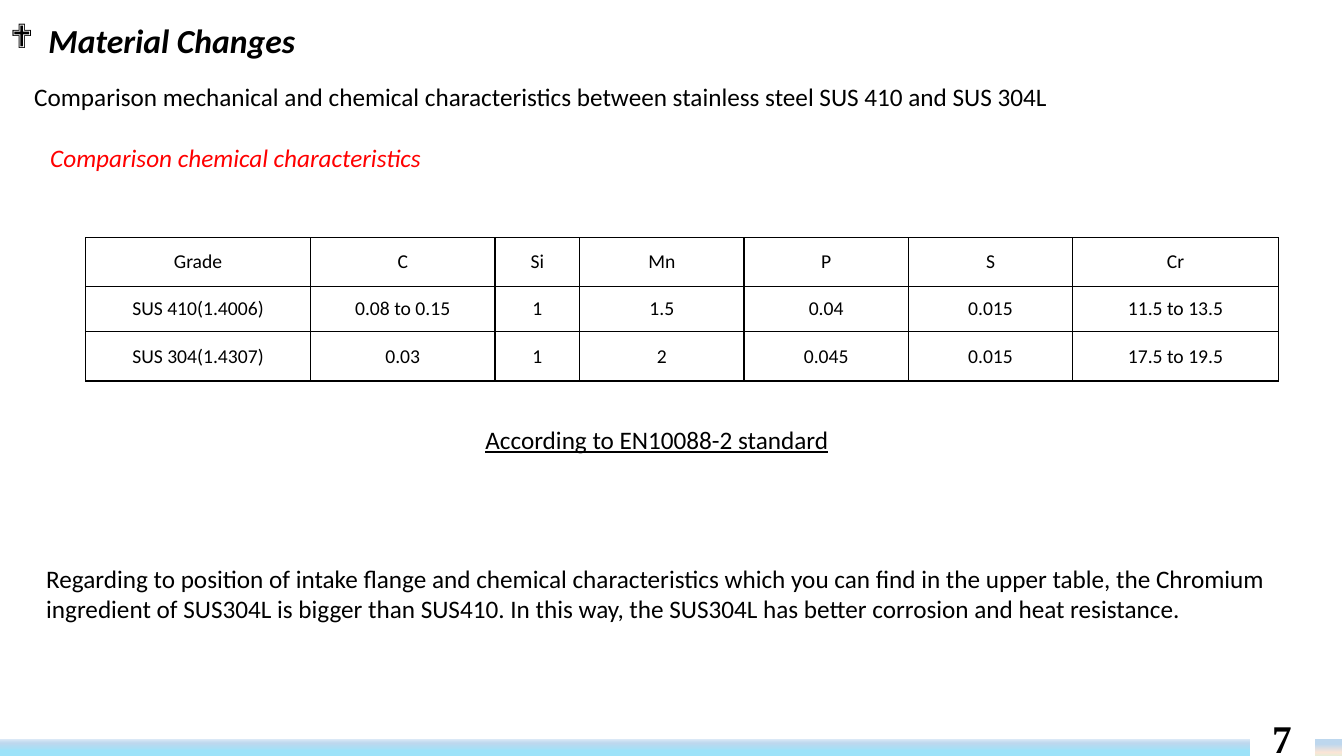
from dataclasses import dataclass

from lxml import etree
from pptx import Presentation
from pptx import util as u
from pptx.dml.color import RGBColor
from pptx.enum import shapes, text
from pptx.oxml import ns

PX = 9144  # 100 px to the inch


@dataclass(frozen=True)
class Theme:
    body_font: str = "Calibri"
    number_font: str = "Times New Roman"
    ink: str = "000000"
    accent: str = "FF0000"
    title_size: int = 24
    body_size: int = 18
    table_size: int = 14
    number_size: int = 28
    left_bar: tuple = ((0, "DEEBF7"), (25, "BDD7EE"), (71, "9DE3F9"))
    right_bar: tuple = ((29, "BDD7EE"), (75, "FBE5D6"), (100, "E2F0D9"))


THEME = Theme()
COLUMNS = (223, 183, 84, 163, 163, 163, 204)
ROWS = (48, 45, 49)
GRADES = (
    ("Grade", "C", "Si", "Mn", "P", "S", "Cr"),
    ("SUS 410(1.4006)", "0.08 to 0.15", "1", "1.5", "0.04", "0.015", "11.5 to 13.5"),
    ("SUS 304(1.4307)", "0.03", "1", "2", "0.045", "0.015", "17.5 to 19.5"),
)


def emu(box):
    return [length * PX for length in box]


def add_child(parent, tag, **attributes):
    child = etree.SubElement(parent, ns.qn(tag))
    for name, value in attributes.items():
        child.set(name, str(value))
    return child


def write(paragraph, words, size, color=THEME.ink, font=THEME.body_font,
          align=text.PP_ALIGN.LEFT, bold=False, italic=False, underline=False):
    paragraph.alignment = align
    run = paragraph.add_run()
    run.text = words
    run.font.size = u.Pt(size)
    run.font.name = font
    run.font.color.rgb = RGBColor.from_string(color)
    run.font.bold, run.font.italic, run.font.underline = bold, italic, underline


def add_text(slide, box, words, size=THEME.body_size, wrap=True, **style):
    frame = slide.shapes.add_textbox(*emu(box)).text_frame
    frame.word_wrap = wrap
    write(frame.paragraphs[0], words, size, **style)


def add_title(slide, box, words):
    title = slide.shapes.title
    title.left, title.top, title.width, title.height = emu(box)
    frame = title.text_frame
    frame.auto_size = text.MSO_AUTO_SIZE.NONE
    frame.vertical_anchor = text.MSO_ANCHOR.TOP
    paragraph = frame.paragraphs[0]
    write(paragraph, words, THEME.title_size, bold=True, italic=True)
    properties = paragraph._p.get_or_add_pPr()
    properties.set("marL", str(38 * PX))
    properties.set("indent", str(-38 * PX))
    add_child(properties, "a:buFont", typeface="Wingdings")
    add_child(properties, "a:buChar", char="❖")


def add_borders(cell):
    properties = cell._tc.get_or_add_tcPr()
    for position, side in enumerate(("a:lnL", "a:lnR", "a:lnT", "a:lnB")):
        line = add_child(properties, side, w=u.Pt(1))
        add_child(add_child(line, "a:solidFill"), "a:srgbClr", val=THEME.ink)
        properties.insert(position, line)


def add_grade_table(slide, left, top):
    box = (left, top, sum(COLUMNS), sum(ROWS))
    table = slide.shapes.add_table(len(ROWS), len(COLUMNS), *emu(box)).table
    table.first_row = table.horz_banding = False
    for column, width in zip(table.columns, COLUMNS):
        column.width = width * PX
    for row, height, values in zip(table.rows, ROWS, GRADES):
        row.height = height * PX
        for cell, value in zip(row.cells, values):
            cell.fill.background()
            cell.vertical_anchor = text.MSO_ANCHOR.MIDDLE
            write(cell.text_frame.paragraphs[0], value, THEME.table_size,
                  align=text.PP_ALIGN.CENTER)
            add_borders(cell)


def add_gradient_bar(slide, box, stops):
    bar = slide.shapes.add_shape(shapes.MSO_SHAPE.RECTANGLE, *emu(box))
    bar.shadow.inherit = False
    bar.line.fill.background()
    bar.fill.gradient()
    bar.fill.gradient_angle = 270  # top to bottom
    stop_list = bar._element.spPr.find(".//" + ns.qn("a:gsLst"))
    for old_stop in list(stop_list):
        stop_list.remove(old_stop)
    for percent, color in stops:
        stop = add_child(stop_list, "a:gs", pos=percent * 1000)
        add_child(stop, "a:srgbClr", val=color)


def add_footer(slide, left, top, number):
    add_gradient_bar(slide, (left, top, 1241, 17), THEME.left_bar)
    add_text(slide, (left + 1253, top - 29, 40, 57), number, THEME.number_size,
             wrap=False, font=THEME.number_font, bold=True)
    add_gradient_bar(slide, (left + 1305, top, 27, 18), THEME.right_bar)


def add_material_slide(presentation):
    slide = presentation.slides.add_slide(presentation.slide_layouts[5])
    add_title(slide, (0, 15, 303, 50), "Material Changes")
    add_text(slide, (24, 76, 1031, 40),
             "Comparison mechanical and chemical characteristics between "
             "stainless steel SUS 410 and SUS 304L", wrap=False)
    add_text(slide, (40, 136, 397, 40), "Comparison chemical characteristics",
             wrap=False, color=THEME.accent, italic=True)
    add_grade_table(slide, 85, 236)
    add_text(slide, (464, 416, 375, 40), "According to EN10088-2 standard",
             align=text.PP_ALIGN.CENTER, underline=True)
    add_text(slide, (36, 554, 1258, 71),
             "Regarding to position of intake flange and chemical characteristics "
             "which you can find in the upper table, the Chromium ingredient of "
             "SUS304L is bigger than SUS410. In this way, the SUS304L has better "
             "corrosion and heat resistance.")
    add_footer(slide, -1, 733, "7")


def main():
    presentation = Presentation()
    presentation.slide_width, presentation.slide_height = emu((1333, 750))
    add_material_slide(presentation)
    presentation.save("out.pptx")


if __name__ == "__main__":
    main()
